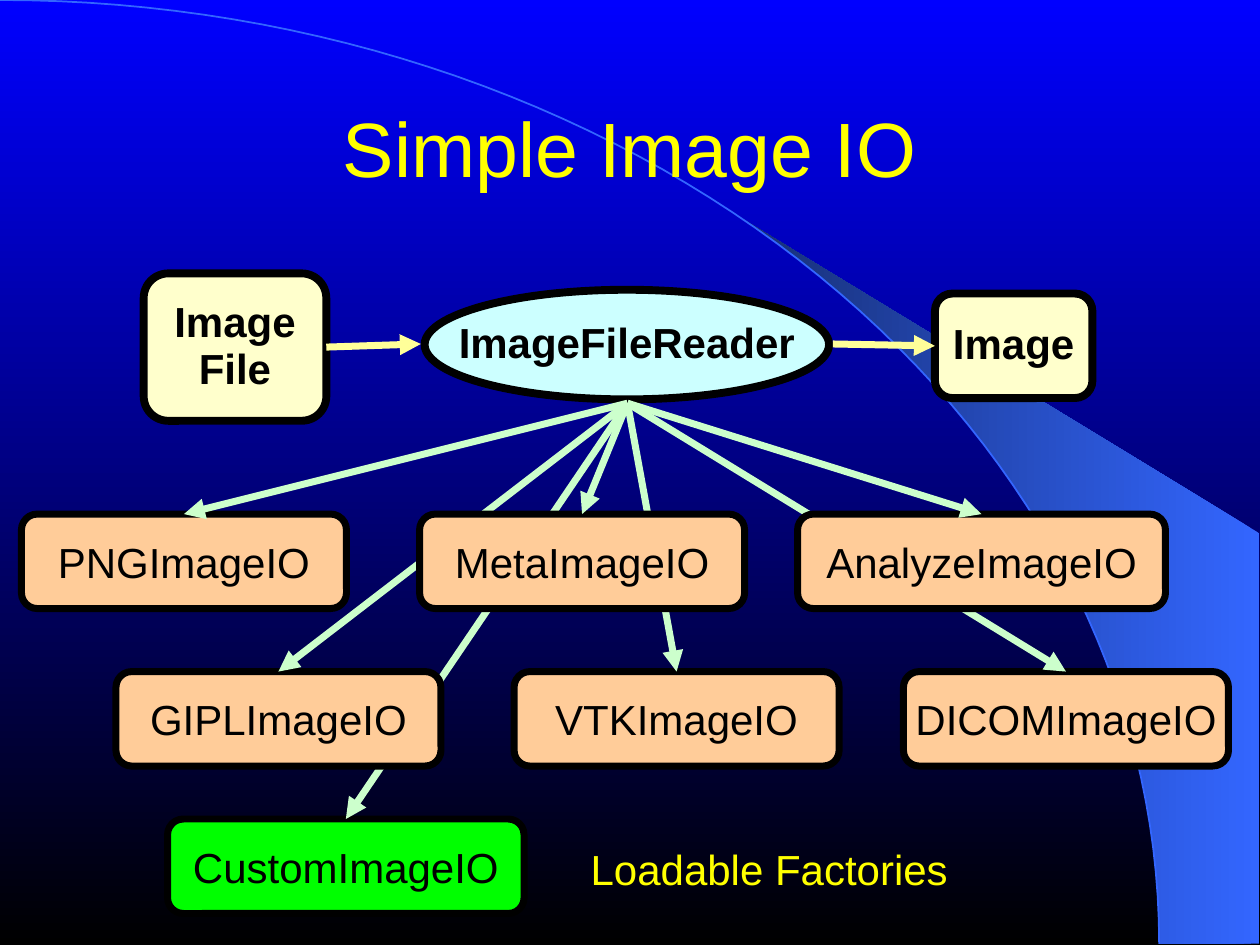
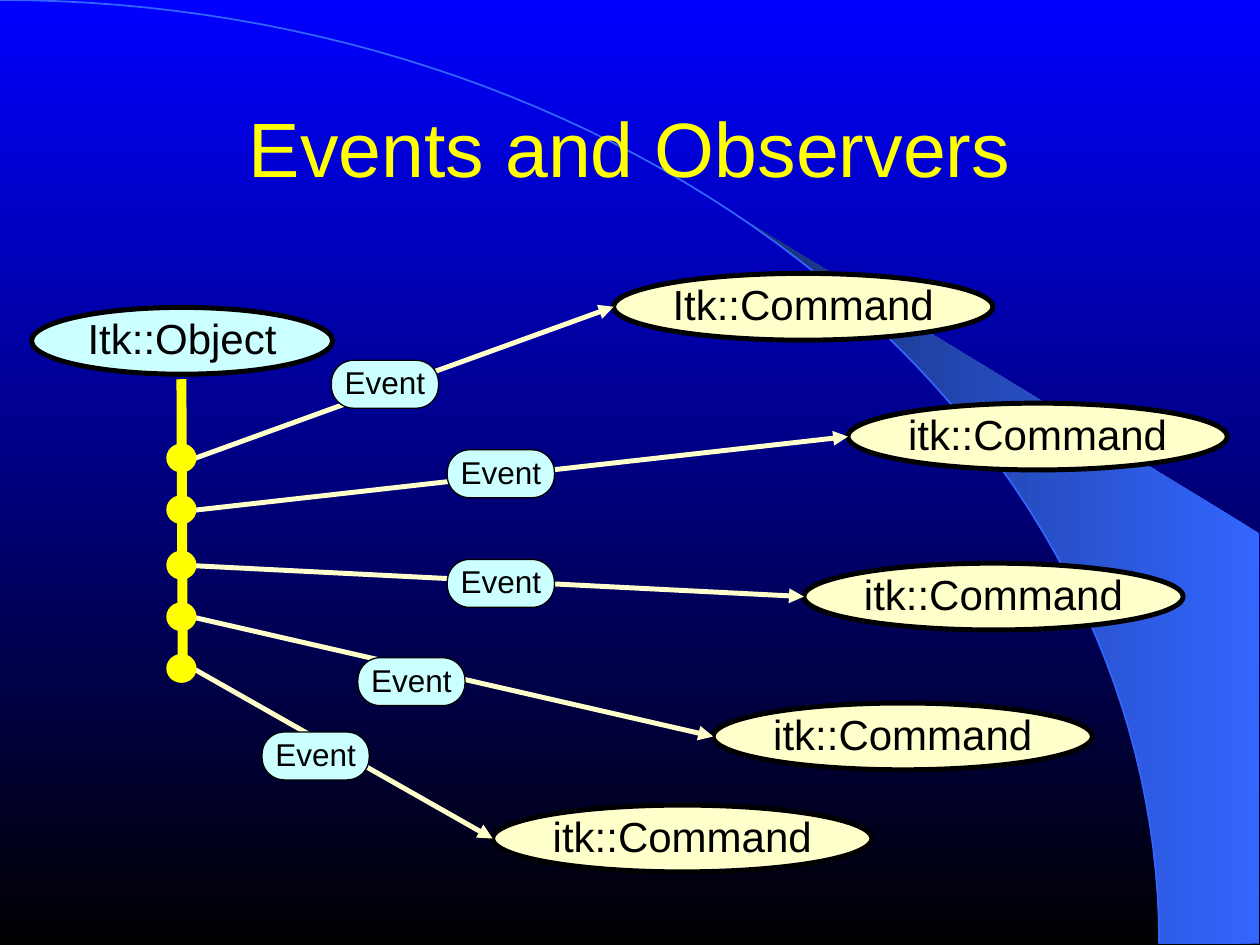
import math
from lxml import etree
from pptx import Presentation
from pptx import util as u
from pptx.dml.color import RGBColor
from pptx.enum import shapes, text
from pptx.oxml.ns import qn

COLOURS = {
    "sky": "0000FF", "black": "000000", "swoosh": "3366FF", "swoosh_dark": "172F75",
    "yellow": "FFFF00", "cream": "FFFFCC", "ice": "CCFFFF", "mint": "CCFFCC",
    "straw": "FFFF99", "peach": "FFCC99", "green": "00FF00",
}
FONT = "Arial"
ARC_WIDTH, ARC_HEIGHT = 9.2, 7.49
ROUND = shapes.MSO_SHAPE.ROUNDED_RECTANGLE
OVAL = shapes.MSO_SHAPE.OVAL


def rgb(name):
    return RGBColor.from_string(COLOURS[name])


def length(inches):
    return u.Cm(inches * 2.54)


def lengths(*values):
    return [length(value) for value in values]


def assign(target, values):
    for name, value in values.items():
        setattr(target, name, value)


def paint_gradient(fill, names, angle):
    fill.gradient()
    fill.gradient_angle = angle
    for stop, name in zip(fill.gradient_stops, names):
        stop.color.rgb = rgb(name)


def paint_line(line, name, width):
    line.color.rgb = rgb(name)
    line.width = u.Pt(width)


def write(shape, words, size, colour="black", bold=False, spacing=0.93):
    frame = shape.text_frame
    assign(frame, {
        "margin_left": 0, "margin_right": 0, "margin_top": 0, "margin_bottom": 0,
        "word_wrap": False, "vertical_anchor": text.MSO_ANCHOR.MIDDLE,
    })
    for index, line in enumerate(words.split("\n")):
        para = frame.add_paragraph() if index else frame.paragraphs[0]
        assign(para, {"alignment": text.PP_ALIGN.CENTER, "line_spacing": spacing})
        span = para.add_run()
        span.text = line
        assign(span.font, {"name": FONT, "size": u.Pt(size), "bold": bold})
        span.font.color.rgb = rgb(colour)


def add_label(page, place, words, size, colour):
    box = page.shapes.add_textbox(*lengths(*place))
    write(box, words, size, colour)


def add_node(page, kind, place, fill, border=0, corner=0.167):
    node = page.shapes.add_shape(kind, *lengths(*place))
    node.shadow.inherit = False
    node.fill.solid()
    node.fill.fore_color.rgb = rgb(fill)
    if border:
        paint_line(node.line, "black", border)
    else:
        node.line.fill.background()
    if kind == ROUND:
        node.adjustments[0] = corner
    return node


def add_line(page, start, end, colour, width, arrow=True):
    line = page.shapes.add_connector(
        shapes.MSO_CONNECTOR.STRAIGHT, *lengths(*start, *end))
    paint_line(line.line, colour, width)
    properties = line._element.spPr
    if arrow:
        etree.SubElement(properties.find(qn("a:ln")), qn("a:tailEnd"), type="triangle")
    etree.SubElement(properties, qn("a:effectLst"))
    return line


def arc_points(start, steps):
    angles = [start + (math.pi / 2 - start) * step / steps for step in range(steps + 1)]
    return [(ARC_WIDTH * math.sin(angle), ARC_HEIGHT * (1 - math.cos(angle)))
            for angle in angles]


def add_outline(page, points, close):
    first, *rest = [lengths(*point) for point in points]
    builder = page.shapes.build_freeform(*first)
    builder.add_line_segments(rest, close=close)
    outline = builder.convert_to_shape()
    outline.shadow.inherit = False
    return outline


def add_page(deck, title):
    page = deck.slides.add_slide(deck.slide_layouts[6])
    paint_gradient(page.background.fill, ("sky", "black"), 270)
    corners = [(9.99, 7.49), (9.99, 4.23)]
    swoosh = add_outline(page, corners + arc_points(math.asin(0.64), 24), True)
    paint_gradient(swoosh.fill, ("swoosh", "swoosh_dark"), 180)
    swoosh.line.fill.background()
    arc = add_outline(page, arc_points(0, 62), False)
    arc.fill.background()
    paint_line(arc.line, "swoosh", 1)
    add_label(page, (0.75, 0.58, 8.5, 1.25), title, 44, "yellow")
    return page


def add_reader_format(page, words, left, top, width=2.58, fill="peach"):
    box = add_node(page, ROUND, (left, top, width, 0.75), fill, 4)
    write(box, words, 24, spacing=1.0)
    arrow = add_line(page, (4.98, 3.2), (left + width / 2, top), "mint", 4)
    arrow.end_connect(box, 0)


def build_image_io(deck):
    page = add_page(deck, "Simple Image IO")
    add_reader_format(page, "CustomImageIO", 1.33, 6.5, 2.83, "green")
    stages = {}
    for words, kind, place, fill in (
        ("Image\nFile", ROUND, (1.14, 2.17, 1.45, 1.17), "cream"),
        ("ImageFileReader", OVAL, (3.37, 2.3, 3.21, 0.87), "ice"),
        ("Image", ROUND, (7.42, 2.33, 1.25, 0.83), "cream"),
    ):
        stages[words] = add_node(page, kind, place, fill, 4.5)
        write(stages[words], words, 24, bold=True)
    incoming = add_line(page, (2.59, 2.75), (3.34, 2.73), "straw", 4)
    incoming.begin_connect(stages["Image\nFile"], 3)
    outgoing = add_line(page, (6.61, 2.73), (7.42, 2.75), "straw", 4)
    outgoing.end_connect(stages["Image"], 1)
    upper, lower = 4.08, 5.33
    for entry in (
        ("PNGImageIO", 0.17, upper),
        ("VTKImageIO", 4.08, lower),
        ("DICOMImageIO", 7.17, lower),
        ("GIPLImageIO", 0.92, lower),
        ("MetaImageIO", 3.33, upper),
        ("AnalyzeImageIO", 6.33, upper, 2.92),
    ):
        add_reader_format(page, *entry)
    add_label(page, (4.59, 6.67, 3.03, 0.5), "Loadable Factories", 24, "yellow")


def add_oval(page, words, left, top, width, fill):
    oval = add_node(page, OVAL, (left, top, width, 0.53), fill, 2.83)
    write(oval, words, 24)


def build_observers(deck):
    page = add_page(deck, "Events and Observers")
    add_oval(page, "Itk::Object", 0.25, 2.44, 2.39, "ice")
    commands = (
        ("Itk::Command", 4.87, 2.17),
        ("itk::Command", 6.73, 3.2),
        ("itk::Command", 6.38, 4.47),
        ("itk::Command", 5.66, 5.58),
        ("itk::Command", 3.91, 6.39),
    )
    dot_tops = (3.52, 3.93, 4.37, 4.78, 5.19)
    events = ((2.63, 2.86), (3.55, 3.57), (3.55, 4.44), (2.84, 5.22), (2.08, 5.81))
    for (words, left, top), dot_top in zip(commands, dot_tops):
        add_oval(page, words, left, top, 3.01, "cream")
        add_line(page, (1.54, dot_top + 0.12), (left, top + 0.265), "cream", 2.83)
    add_line(page, (1.44, 3.01), (1.45, 5.24), "yellow", 5.67, arrow=False)
    for dot_top in dot_tops:
        add_node(page, OVAL, (1.32, dot_top, 0.24, 0.23), "yellow")
    for left, top in events:
        event = add_node(page, ROUND, (left, top, 0.85, 0.38), "ice", 0.75, 0.465)
        write(event, "Event", 18)


def main():
    deck = Presentation()
    assign(deck, {"slide_width": length(10), "slide_height": length(7.5)})
    build_image_io(deck)
    build_observers(deck)
    deck.save("out.pptx")


if __name__ == "__main__":
    main()
